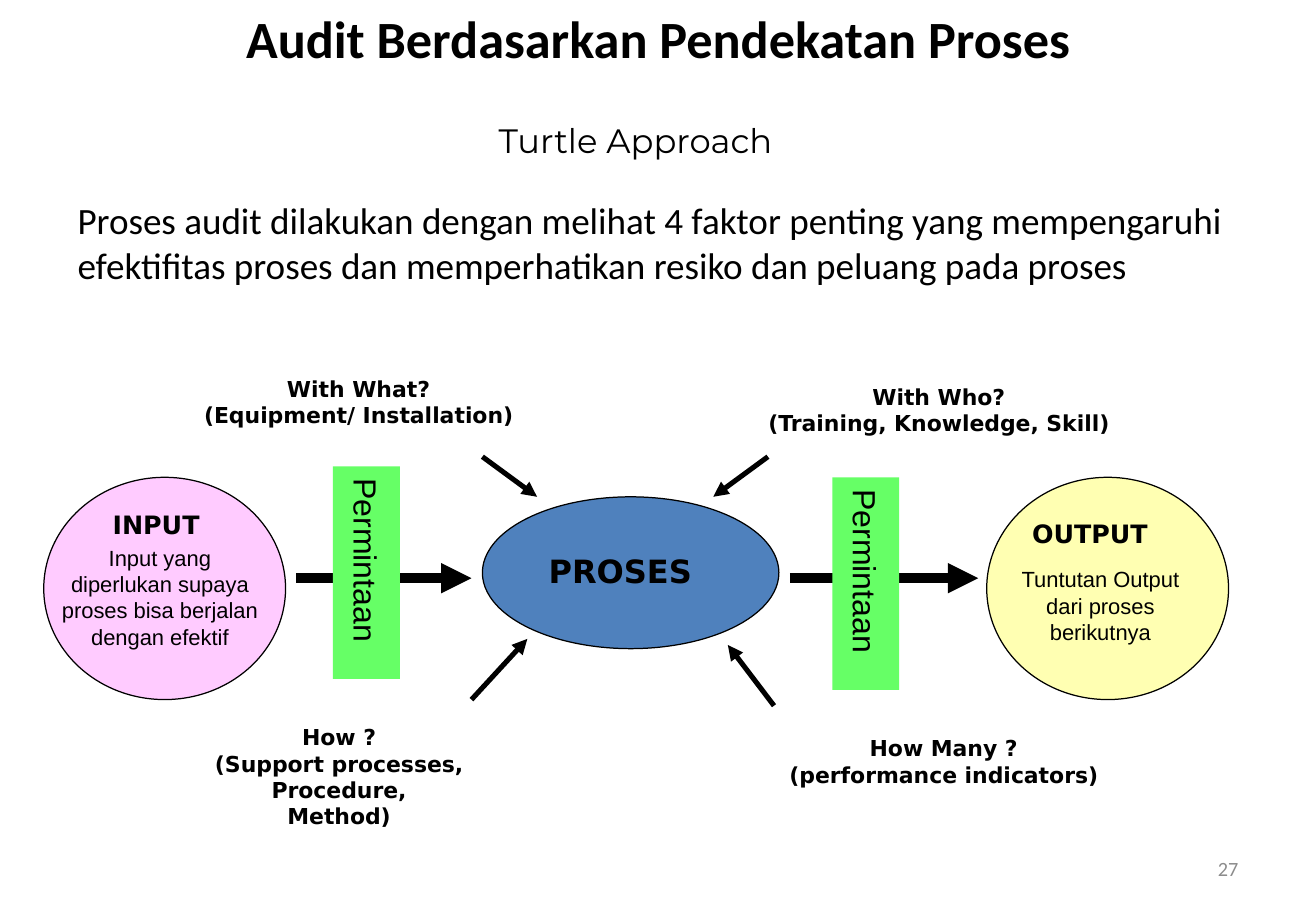
from dataclasses import dataclass

from lxml.etree import SubElement
from pptx import Presentation
from pptx.dml.color import RGBColor
from pptx.enum.shapes import MSO_CONNECTOR, MSO_SHAPE
from pptx.enum.text import MSO_ANCHOR, MSO_AUTO_SIZE, PP_ALIGN
from pptx.oxml.ns import qn
from pptx.shapes.base import BaseShape
from pptx.slide import Slide
from pptx.util import Inches, Pt

COLORS = {
    "black": "000000",
    "gray": "8C8C8C",
    "pink": "FF99FF",
    "yellow": "FFFF66",
    "blue": "4F81BD",
    "green": "66FF66",
}


@dataclass
class Box:
    left: float
    top: float
    width: float
    height: float


@dataclass
class Ellipse:
    box: Box
    color: str
    opacity: int = 100


@dataclass
class Arrow:
    start: tuple[float, float]
    end: tuple[float, float]
    width: float = 3


@dataclass
class Label:
    box: Box
    text: str
    size: float
    font: str = "DejaVu Sans"
    bold: bool = False
    align: PP_ALIGN = PP_ALIGN.CENTER
    anchor: MSO_ANCHOR = MSO_ANCHOR.TOP
    wrap: bool = False
    color: str = "black"


TITLE = Label(Box(0.54, 0, 9.75, 1.25), "Audit Berdasarkan Pendekatan Proses",
              31, "Calibri", bold=True, wrap=True)

ELLIPSES = [
    Ellipse(Box(0.36, 3.93, 1.99, 1.83), "pink", 50),
    Ellipse(Box(8.12, 3.93, 1.99, 1.83), "yellow", 50),
    Ellipse(Box(3.97, 4.09, 2.44, 1.25), "blue"),
]

ARROWS = [
    Arrow((2.44, 4.76), (3.88, 4.76), 6),
    Arrow((6.5, 4.76), (8.05, 4.76), 6),
    Arrow((3.88, 5.76), (4.34, 5.26)),
    Arrow((6.37, 5.81), (5.99, 5.31)),
    Arrow((3.97, 3.76), (4.42, 4.09)),
    Arrow((6.32, 3.76), (5.87, 4.09)),
]

DEMANDS = [
    Label(Box(left, top, 0.55, 1.75), "Permintaan", 19, "Arial",
          align=PP_ALIGN.LEFT, anchor=MSO_ANCHOR.MIDDLE, wrap=True)
    for left, top in [(2.74, 3.84), (6.85, 3.93)]
]

LABELS = [
    Label(Box(0.54, 1.58, 9.75, 1),
          "Proses audit dilakukan dengan melihat 4 faktor penting yang "
          "mempengaruhi efektifitas proses dan memperhatikan resiko dan "
          "peluang pada proses",
          22, "Calibri", align=PP_ALIGN.LEFT, wrap=True),
    Label(Box(3.88, 0.94, 2.7, 0.4), "Turtle Approach", 20, "Montserrat"),
    Label(Box(4.42, 4.49, 1.37, 0.41), "PROSES", 19, bold=True),
    Label(Box(0.81, 4.14, 0.95, 0.34), "INPUT", 15, bold=True),
    Label(Box(8.4, 4.22, 1.14, 0.34), "OUTPUT", 15, bold=True),
    Label(Box(1.64, 5.91, 2.3, 0.96),
          "How ?\n(Support processes,\nProcedure,\nMethod)", 13, bold=True),
    Label(Box(6.39, 6, 2.75, 0.53),
          "How Many ?\n(performance indicators)", 13, bold=True),
    Label(Box(1.53, 3.04, 2.84, 0.53),
          "With What?\n(Equipment/ Installation)", 13, bold=True),
    Label(Box(6.2, 3.11, 3.05, 0.53),
          "With Who?\n(Training, Knowledge, Skill)", 13, bold=True),
    Label(Box(0.41, 4.43, 1.81, 1.19),
          "Input yang diperlukan supaya proses bisa berjalan dengan efektif",
          13, "Arial", wrap=True),
    Label(Box(8.15, 4.61, 1.81, 0.75),
          "Tuntutan Output dari proses berikutnya", 13, "Arial", wrap=True),
    Label(Box(7.76, 6.95, 2.53, 0.4), "27", 12, "Calibri",
          align=PP_ALIGN.RIGHT, anchor=MSO_ANCHOR.MIDDLE, wrap=True,
          color="gray"),
]


def rgb(name: str) -> RGBColor:
    return RGBColor.from_string(COLORS[name])


def lengths(box: Box) -> list[int]:
    return [Inches(value) for value in (box.left, box.top, box.width, box.height)]


def write_label(shape: BaseShape, label: Label) -> None:
    text_frame = shape.text_frame
    text_frame.text = label.text
    text_frame.word_wrap = label.wrap
    text_frame.auto_size = MSO_AUTO_SIZE.NONE
    text_frame.vertical_anchor = label.anchor
    for paragraph in text_frame.paragraphs:
        paragraph.alignment = label.align
        for run in paragraph.runs:
            run.font.name = label.font
            run.font.size = Pt(label.size)
            run.font.bold = label.bold
            run.font.color.rgb = rgb(label.color)


def add_title(slide: Slide, label: Label) -> None:
    title = slide.shapes.title
    title.left, title.top, title.width, title.height = lengths(label.box)
    write_label(title, label)


def add_label(slide: Slide, label: Label) -> None:
    write_label(slide.shapes.add_textbox(*lengths(label.box)), label)


def add_ellipse(slide: Slide, ellipse: Ellipse) -> None:
    shape = slide.shapes.add_shape(MSO_SHAPE.OVAL, *lengths(ellipse.box))
    shape.shadow.inherit = False
    shape.fill.solid()
    shape.fill.fore_color.rgb = rgb(ellipse.color)
    shape.line.color.rgb = rgb("black")
    shape.line.width = Pt(0.75)
    if ellipse.opacity < 100:
        color = shape.element.spPr.find(qn("a:solidFill"))[0]
        SubElement(color, qn("a:alpha"), val=str(ellipse.opacity * 1000))


def add_arrow(slide: Slide, arrow: Arrow) -> None:
    points = [Inches(value) for value in (*arrow.start, *arrow.end)]
    connector = slide.shapes.add_connector(MSO_CONNECTOR.STRAIGHT, *points)
    connector.line.color.rgb = rgb("black")
    connector.line.width = Pt(arrow.width)
    properties = connector.element.spPr
    SubElement(properties.find(qn("a:ln")), qn("a:tailEnd"), type="triangle")
    SubElement(properties, qn("a:effectLst"))


def add_demand(slide: Slide, label: Label) -> None:
    shape = slide.shapes.add_shape(MSO_SHAPE.RECTANGLE, *lengths(label.box))
    shape.shadow.inherit = False
    shape.fill.solid()
    shape.fill.fore_color.rgb = rgb("green")
    shape.line.fill.background()
    write_label(shape, label)
    shape.element.txBody.find(qn("a:bodyPr")).set("vert", "eaVert")


def main() -> None:
    presentation = Presentation()
    presentation.slide_width = Inches(10.83)
    presentation.slide_height = Inches(7.5)
    slide = presentation.slides.add_slide(presentation.slide_layouts[5])
    add_title(slide, TITLE)
    for ellipse in ELLIPSES:
        add_ellipse(slide, ellipse)
    for arrow in ARROWS:
        add_arrow(slide, arrow)
    for demand in DEMANDS:
        add_demand(slide, demand)
    for label in LABELS:
        add_label(slide, label)
    presentation.save("out.pptx")


if __name__ == "__main__":
    main()
